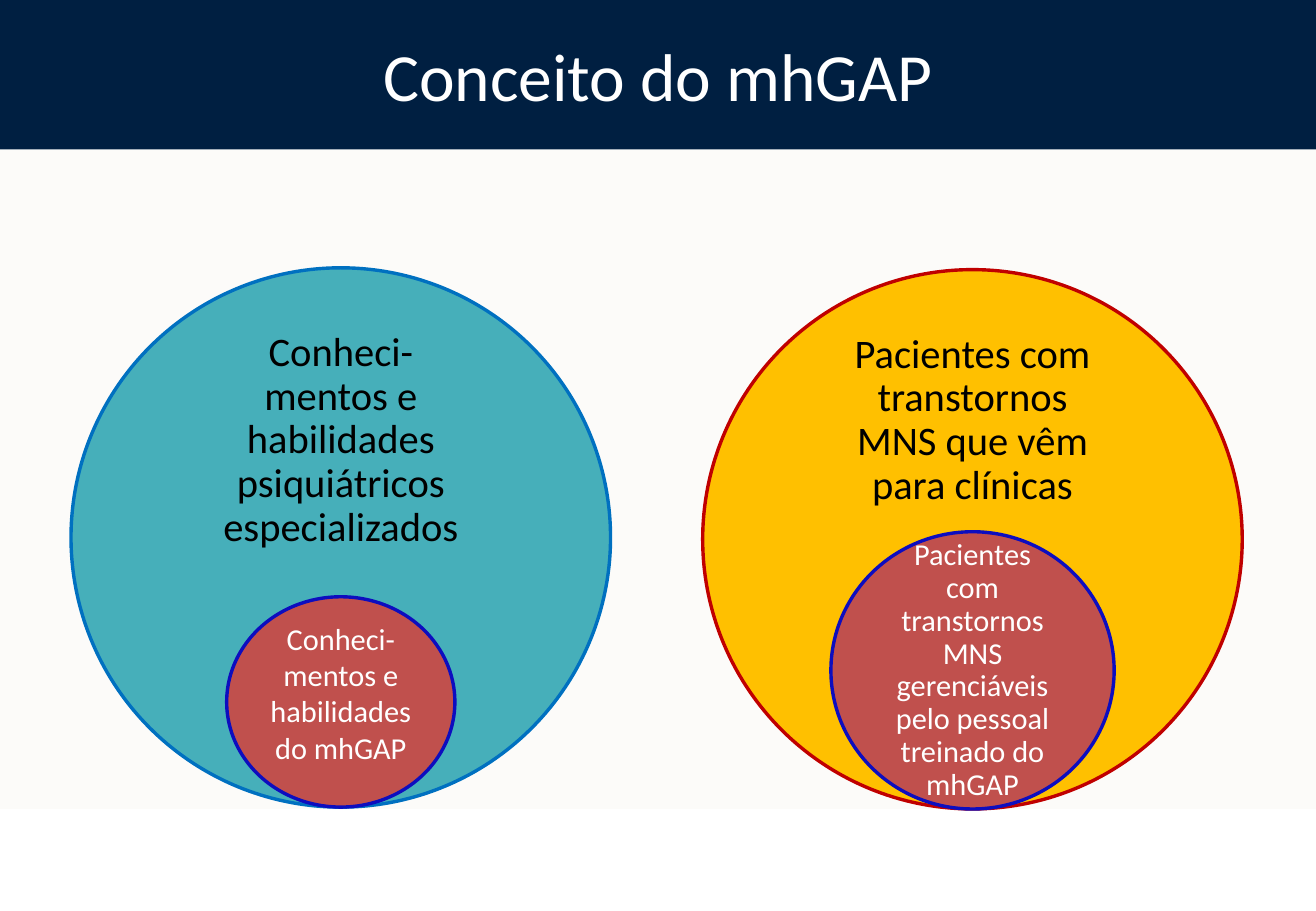
from typing import NamedTuple

from pptx import Presentation
from pptx.dml.color import RGBColor
from pptx.enum.shapes import MSO_SHAPE
from pptx.enum.text import MSO_ANCHOR, PP_ALIGN
from pptx.util import Inches, Pt


class Theme:
    font = "Calibri"
    title_size, outer_size, inner_size = 40, 24, 18
    navy, paper = "001F41", "FCFBF9"
    white, black = "FFFFFF", "000000"
    teal, blue = "46AFBA", "0070C0"
    amber, red = "FFC000", "C00000"
    brick, indigo = "C0504D", "0D0DBF"
    line_width = 2


class Box(NamedTuple):
    """A rectangle in inches."""
    x: float
    y: float
    w: float
    h: float

    def portion(self, x, y, w, h):
        """Rectangle given in percent of this one."""
        return Box(self.x + self.w * x / 100, self.y + self.h * y / 100,
                   self.w * w / 100, self.h * h / 100)

    def centred(self, y, w, h):
        return self.portion((100 - w) / 2, y, w, h)

    def emu(self):
        return [Inches(v) for v in self]


class Concept(NamedTuple):
    """Outer circle with a smaller one resting on its bottom; sizes in percent of the outer."""
    outer_text: str
    fill: str
    line: str
    inner_text: str
    inner_size: tuple
    inner_label: tuple  # top, width, height
    inner_inset: float
    inner_spacing: float


SLIDE = Box(0, 0, 10.83, 7.5)
DIAMETER = 4.44
CONCEPTS = [
    Concept("Conheci-mentos e habilidades psiquiátricos especializados",
            Theme.teal, Theme.blue, "Conheci-mentos e habilidades do mhGAP",
            (42.3, 39), (64, 34.7, 29.5), 0.1, 1),
    Concept("Pacientes com transtornos MNS que vêm para clínicas",
            Theme.amber, Theme.red,
            "Pacientes com transtornos MNS gerenciáveis pelo pessoal treinado do mhGAP",
            (52.5, 51.4), (61.5, 37.2, 25.7), 0.14, 0.9),
]
PLACES = [(5.4, 88.6), (53.4, 88.8)]  # left and bottom of each outer circle


def add_figure(shapes, kind, box, fill, line=None):
    sp = shapes.add_shape(kind, *box.emu())
    sp.shadow.inherit = False
    sp.fill.solid()
    sp.fill.fore_color.rgb = RGBColor.from_string(fill)
    if line:
        sp.line.color.rgb = RGBColor.from_string(line)
        sp.line.width = Pt(Theme.line_width)
    else:
        sp.line.fill.background()


def write(sp, text, size, color, anchor=MSO_ANCHOR.MIDDLE, inset=0.1, spacing=1):
    tf = sp.text_frame
    tf.word_wrap = True
    tf.vertical_anchor = anchor
    tf.margin_left = tf.margin_right = tf.margin_top = tf.margin_bottom = Inches(inset)
    p = tf.paragraphs[0]
    p.alignment = PP_ALIGN.CENTER
    p.line_spacing = float(spacing)
    r = p.add_run()
    r.text = text
    r.font.name = Theme.font
    r.font.size = Pt(size)
    r.font.color.rgb = RGBColor.from_string(color)


def add_header(slide, box):
    add_figure(slide.shapes, MSO_SHAPE.RECTANGLE, box, Theme.navy)
    title = slide.shapes.title
    title.left, title.top, title.width, title.height = box.emu()
    title.element.getparent().append(title.element)  # in front of the band
    write(title, "Conceito do mhGAP", Theme.title_size, Theme.white)


def add_concept(slide, box, concept):
    shapes = slide.shapes.add_group_shape().shapes
    add_figure(shapes, MSO_SHAPE.OVAL, box, concept.fill, concept.line)
    label = shapes.add_textbox(*box.centred(7.5, 52.5, 17.1).emu())
    write(label, concept.outer_text, Theme.outer_size, Theme.black,
          anchor=MSO_ANCHOR.TOP, inset=0.19, spacing=0.9)

    w, h = concept.inner_size
    add_figure(shapes, MSO_SHAPE.OVAL, box.centred(100 - h, w, h), Theme.brick, Theme.indigo)
    label = shapes.add_textbox(*box.centred(*concept.inner_label).emu())
    write(label, concept.inner_text, Theme.inner_size, Theme.white,
          inset=concept.inner_inset, spacing=concept.inner_spacing)


def main():
    prs = Presentation()
    prs.slide_width, prs.slide_height = Inches(SLIDE.w), Inches(SLIDE.h)
    slide = prs.slides.add_slide(prs.slide_layouts[5])
    add_figure(slide.shapes, MSO_SHAPE.RECTANGLE, SLIDE.portion(0, 16.4, 100, 72.4), Theme.paper)
    add_header(slide, SLIDE.portion(0, 0, 100, 16.4))
    for (left, bottom), concept in zip(PLACES, CONCEPTS):
        corner = SLIDE.portion(left, bottom, 0, 0)
        add_concept(slide, Box(corner.x, corner.y - DIAMETER, DIAMETER, DIAMETER), concept)
    prs.save("out.pptx")


if __name__ == "__main__":
    main()
